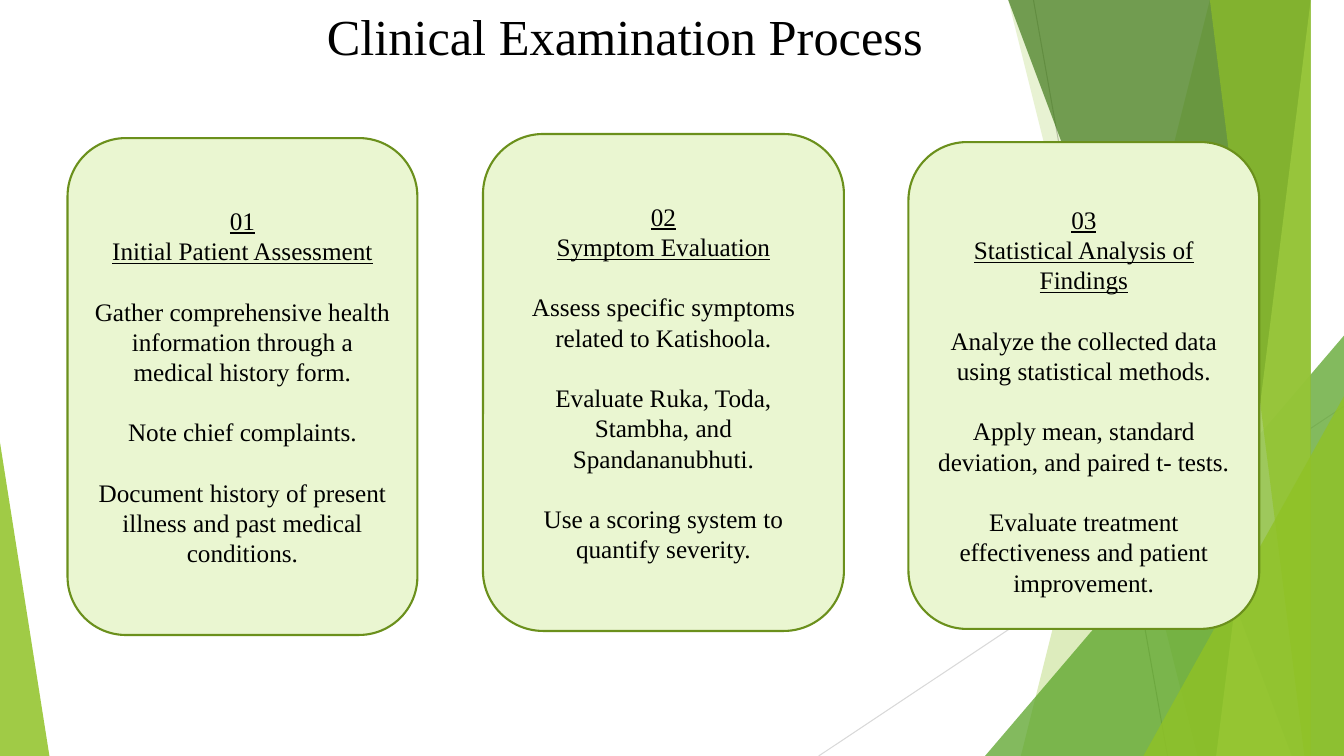
from lxml import etree
from pptx import Presentation
from pptx.dml.color import RGBColor
from pptx.enum.shapes import MSO_CONNECTOR, MSO_SHAPE
from pptx.enum.text import MSO_ANCHOR, MSO_AUTO_SIZE, PP_ALIGN
from pptx.oxml.ns import qn
from pptx.util import Inches, Pt

STRAIGHT = MSO_CONNECTOR.STRAIGHT
TRIANGLE, ROUNDED = MSO_SHAPE.ISOSCELES_TRIANGLE, MSO_SHAPE.ROUNDED_RECTANGLE
TOP, MIDDLE = MSO_ANCHOR.TOP, MSO_ANCHOR.MIDDLE
CENTER, NO_AUTOFIT = PP_ALIGN.CENTER, MSO_AUTO_SIZE.NONE

BLACK = RGBColor(0x00, 0x00, 0x00)
GREEN = RGBColor(0x90, 0xC2, 0x26)
MID_GREEN = RGBColor(0x54, 0xA0, 0x21)
DARK_GREEN = RGBColor(0x3F, 0x78, 0x19)
LIGHT_GREEN = RGBColor(0xC0, 0xE4, 0x74)
CARD_FILL = RGBColor(0xEA, 0xF6, 0xD1)
CARD_LINE = RGBColor(0x6B, 0x90, 0x1C)
GRAY = RGBColor(0xBF, 0xBF, 0xBF)
LIGHT_GRAY = RGBColor(0xD9, 0xD9, 0xD9)

WIDTH, HEIGHT = 13.33, 7.5
FONT = "Times New Roman"
LINE_PITCH = Pt(21.6)

# Start, end, colour
RAYS = [
    ((10.25, 0), (11.58, HEIGHT), GRAY),
    ((WIDTH, 4.03), (8.12, HEIGHT), LIGHT_GRAY),
]
# Each band runs to the right edge: top x, bottom x, colour, opacity in percent
BACK_BANDS = [(12.28, 10.04, GREEN, 30), (10.5, 11.83, GREEN, 20)]
FRONT_BANDS = [
    (10.21, 12.91, DARK_GREEN, 70),
    (13.03, 11.92, LIGHT_GREEN, 70),
    (11.96, 13.18, GREEN, 65),
]
# Each wedge stands on the bottom edge: left, top, width, apex, colour, opacity
BACK_WEDGES = [(9.77, 3.33, 3.56, 1, MID_GREEN, 72)]
FRONT_WEDGES = [(11.34, 3.93, 1.99, 1, GREEN, 80), (0, 4.39, 0.49, 0, GREEN, 85)]

# Box (left, top, width, height), top inset, number, heading, steps
CARDS = [
    ((0.67, 1.37, 3.47, 4.93), 0.05, "01", "Initial Patient Assessment", [
        "Gather comprehensive health information through a medical history form.",
        "Note chief complaints.",
        "Document history of present illness and past medical conditions.",
    ]),
    ((4.79, 1.33, 3.58, 4.93), 0.05, "02", "Symptom Evaluation", [
        "Assess specific symptoms related to Katishoola.",
        "Evaluate Ruka, Toda, Stambha, and Spandananubhuti.",
        "Use a scoring system to quantify severity.",
    ]),
    ((9.01, 1.41, 3.48, 4.83), 0.35, "03", "Statistical Analysis of Findings", [
        "Analyze the collected data using statistical methods.",
        "Apply mean, standard deviation, and paired t- tests.",
        "Evaluate treatment effectiveness and patient improvement.",
    ]),
]


def set_format(target, values):
    for name, value in values.items():
        setattr(target, name, value)


def set_font(font, size, underline=False):
    set_format(font, {"name": FONT, "size": Pt(size), "bold": False,
                      "underline": underline})
    font.color.rgb = BLACK


def fill_translucent(shape, color, opacity):
    shape.shadow.inherit = False
    shape.line.fill.background()
    shape.fill.solid()
    shape.fill.fore_color.rgb = color
    color_element = shape.fill._xPr.find(qn("a:solidFill"))[0]
    etree.SubElement(color_element, qn("a:alpha"), val=str(opacity * 1000))


def add_ray(slide, start, end, color):
    points = [Inches(value) for value in (*start, *end)]
    ray = slide.shapes.add_connector(STRAIGHT, *points)
    ray.line.color.rgb = color
    ray.line.width = Pt(0.75)
    etree.SubElement(ray._element.spPr, qn("a:effectLst"))


def add_band(slide, top_x, bottom_x, color, opacity):
    builder = slide.shapes.build_freeform(top_x, 0, scale=Inches(1))
    builder.add_line_segments([(WIDTH, 0), (WIDTH, HEIGHT), (bottom_x, HEIGHT)])
    fill_translucent(builder.convert_to_shape(), color, opacity)


def add_wedge(slide, left, top, width, apex, color, opacity):
    box = [Inches(value) for value in (left, top, width, HEIGHT - top)]
    wedge = slide.shapes.add_shape(TRIANGLE, *box)
    wedge.adjustments[0] = apex
    fill_translucent(wedge, color, opacity)


def add_backdrop(slide):
    for ray in RAYS:
        add_ray(slide, *ray)
    for bands, wedges in ((BACK_BANDS, BACK_WEDGES), (FRONT_BANDS, FRONT_WEDGES)):
        for band in bands:
            add_band(slide, *band)
        for wedge in wedges:
            add_wedge(slide, *wedge)


def add_title(slide, text, left, top, width, height):
    title = slide.shapes.title
    set_format(title, {"left": Inches(left), "top": Inches(top),
                       "width": Inches(width), "height": Inches(height)})
    frame = title.text_frame
    frame.text = text
    set_format(frame, {"word_wrap": False, "auto_size": NO_AUTOFIT,
                       "vertical_anchor": TOP})
    paragraph = frame.paragraphs[0]
    paragraph.alignment = CENTER
    set_font(paragraph.runs[0].font, 36)


def add_card(slide, box, top_inset, number, heading, steps):
    card = slide.shapes.add_shape(ROUNDED, *[Inches(value) for value in box])
    card.shadow.inherit = False
    card.fill.solid()
    card.fill.fore_color.rgb = CARD_FILL
    card.line.color.rgb = CARD_LINE
    card.line.width = Pt(1.5)
    frame = card.text_frame
    set_format(frame, {"word_wrap": True, "vertical_anchor": MIDDLE,
                       "margin_top": Inches(top_inset)})
    frame.text = "\n".join([number, heading, *steps])
    for index, paragraph in enumerate(frame.paragraphs):
        is_step = index >= 2
        set_format(paragraph, {"alignment": CENTER, "line_spacing": LINE_PITCH,
                               "space_before": LINE_PITCH if is_step else Pt(0)})
        set_font(paragraph.runs[0].font, 18, underline=not is_step)


def main():
    presentation = Presentation()
    presentation.slide_width = Inches(WIDTH)
    presentation.slide_height = Inches(HEIGHT)
    slide = presentation.slides.add_slide(presentation.slide_layouts[5])
    add_backdrop(slide)
    add_title(slide, "Clinical Examination Process", 3.11, 0, 6.18, 0.71)
    for card in CARDS:
        add_card(slide, *card)
    presentation.save("out.pptx")


if __name__ == "__main__":
    main()
